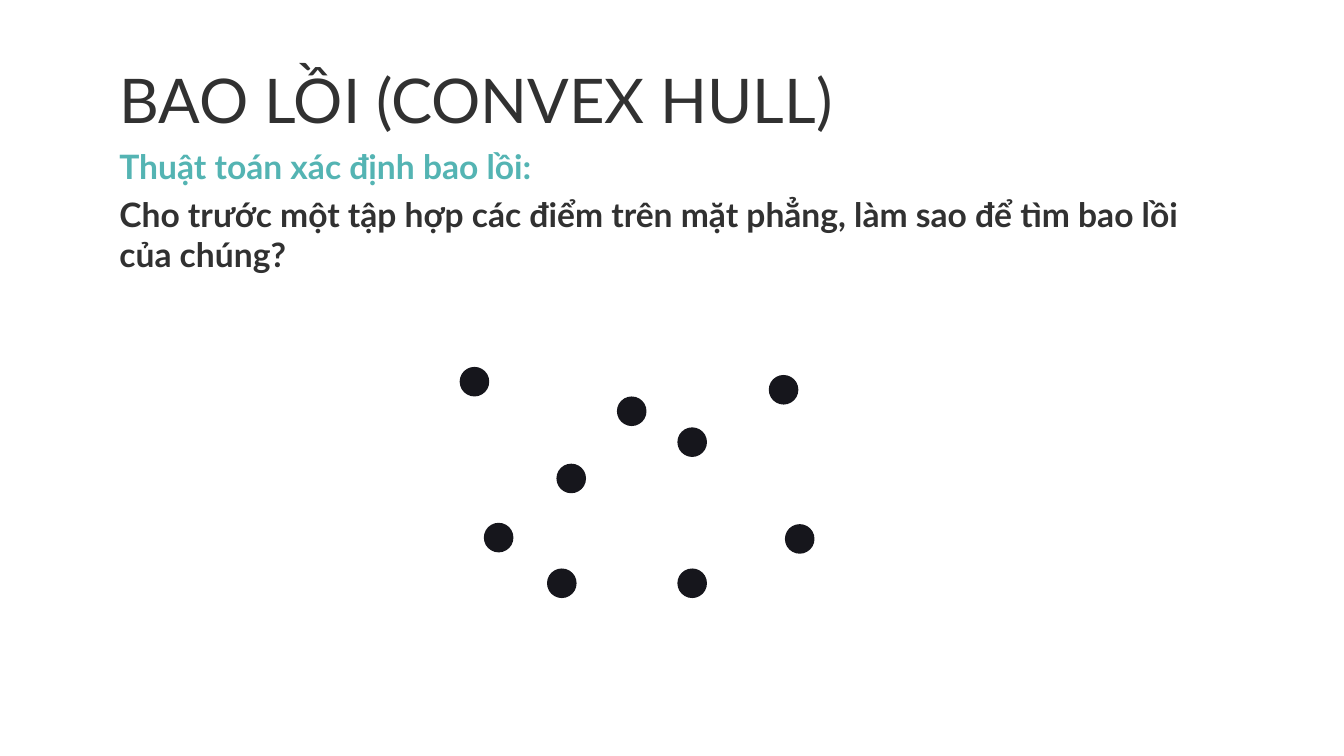
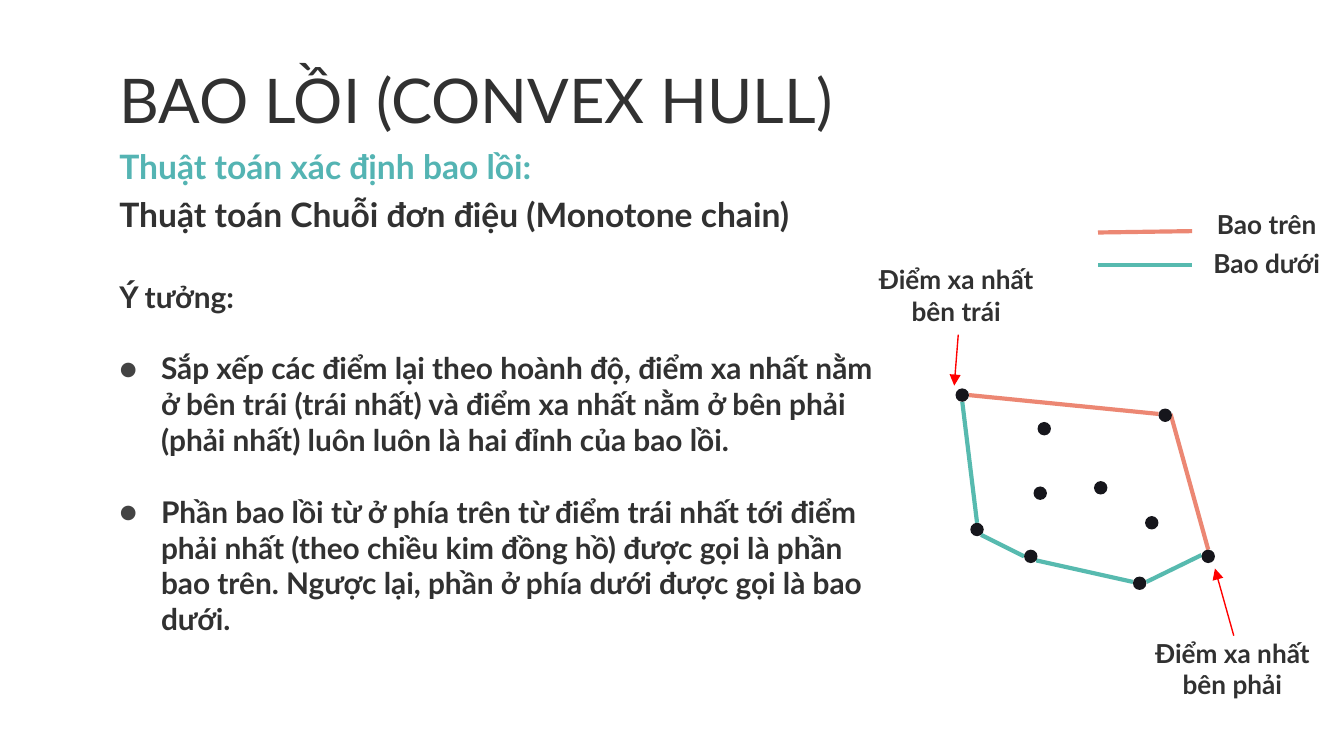
"""Build two slides on the convex hull and the monotone chain algorithm."""
import pptx
import pptx.dml.color
import pptx.enum.shapes
import pptx.enum.text
import pptx.oxml.ns
import pptx.util
from lxml import etree

Inches = pptx.util.Inches
Pt = pptx.util.Pt
RGBColor = pptx.dml.color.RGBColor
ALIGN = pptx.enum.text.PP_ALIGN

INK = RGBColor(0x31, 0x31, 0x31)
HEADING_TEAL = RGBColor(0x54, 0xB4, 0xB3)
POINT_BLACK = RGBColor(0x16, 0x16, 0x1C)
LOWER_TEAL = RGBColor(0x57, 0xBA, 0xAF)
UPPER_CORAL = RGBColor(0xEC, 0x87, 0x73)
POINTER_RED = RGBColor(0xFF, 0x00, 0x00)
BULLET_GREY = RGBColor(0x43, 0x43, 0x43)

FONT = "Lato"
TITLE = {"name": FONT, "size": Pt(33), "bold": False}
LEAD = {"name": FONT, "size": Pt(18), "bold": True}
BODY = {"name": FONT, "size": Pt(16), "bold": True}
LABEL = {"name": FONT, "size": Pt(14), "bold": True}
FRAME = {
    "word_wrap": True,
    "vertical_anchor": pptx.enum.text.MSO_ANCHOR.MIDDLE,
    "margin_left": Inches(0.1),
    "margin_right": Inches(0.1),
    "margin_top": Inches(0.1),
    "margin_bottom": Inches(0.1),
}

SLIDE_WIDTH = Inches(10)
SLIDE_HEIGHT = SLIDE_WIDTH * 9 // 16
LEFT = 0.79
FULL_WIDTH = 8.43
BULLET_INDENT = Inches(0.31)

QUESTION_POINTS = [
    (4.59, 2.95), (3.42, 2.73), (3.6, 3.89), (5.84, 3.9), (5.72, 2.79),
    (5.04, 3.18), (5.04, 4.23), (4.14, 3.45), (4.07, 4.23),
]
CHAIN_POINTS = [
    (7.72, 3.14), (7.11, 2.89), (7.22, 3.89), (8.94, 4.09), (8.62, 3.04),
    (8.14, 3.58), (8.43, 4.29), (7.69, 3.62), (7.62, 4.09), (8.52, 3.84),
]
LOWER_HULL = [
    (7.16, 2.99, 7.27, 3.89), (7.3, 3.98, 7.62, 4.14),
    (7.71, 4.17, 8.43, 4.33), (8.53, 4.33, 8.94, 4.13),
]
UPPER_HULL = [(7.21, 2.94, 8.62, 3.08), (8.71, 3.08, 8.99, 4.09)]
LOWER_KEY = (8.17, 1.97, 8.87, 1.97)
UPPER_KEY = (8.17, 1.73, 8.87, 1.72)
POINTERS = [(7.13, 2.49, 7.1, 2.87), (9.18, 4.73, 9.04, 4.23)]
LABELS = [
    ("Điểm xa nhất bên trái", 6.36, 2.02, 1.51),
    ("Điểm xa nhất bên phải", 8.47, 4.8, 1.4),
    ("Bao trên", 8.67, 1.49, 1.51),
    ("Bao dưới", 8.67, 1.78, 1.51),
]
IDEAS = [
    "Sắp xếp các điểm lại theo hoành độ, điểm xa nhất nằm ở bên trái (trái nhất) "
    "và điểm xa nhất nằm ở bên phải (phải nhất) luôn luôn là hai đỉnh của bao lồi.",
    "Phần bao lồi từ ở phía trên từ điểm trái nhất tới điểm phải nhất (theo chiều "
    "kim đồng hồ) được gọi là phần bao trên. Ngược lại, phần ở phía dưới được gọi "
    "là bao dưới.",
]


def apply_format(target, values):
    """Set each named attribute on the target."""
    for name, value in values.items():
        setattr(target, name, value)


def add_frame(slide, left, top, width, height):
    """Add an empty text box and return its text frame."""
    box = slide.shapes.add_textbox(*map(Inches, (left, top, width, height)))
    apply_format(box.text_frame, FRAME)
    return box.text_frame


def write(paragraph, text, style, color=INK, align=ALIGN.LEFT):
    """Fill a paragraph with one styled run."""
    paragraph.alignment = align
    run = paragraph.add_run()
    run.text = text
    apply_format(run.font, style)
    run.font.color.rgb = color


def add_text(slide, text, place, style, color=INK, align=ALIGN.LEFT):
    """Add a text box with a single paragraph."""
    write(add_frame(slide, *place).paragraphs[0], text, style, color, align)


def add_bullet(paragraph):
    """Give a paragraph a hanging grey dot."""
    properties = paragraph._p.get_or_add_pPr()
    properties.set("marL", str(BULLET_INDENT))
    properties.set("indent", str(-BULLET_INDENT))
    qn = pptx.oxml.ns.qn
    bullet_color = etree.SubElement(properties, qn("a:buClr"))
    etree.SubElement(bullet_color, qn("a:srgbClr"), val=str(BULLET_GREY))
    etree.SubElement(properties, qn("a:buFont"), typeface=FONT)
    etree.SubElement(properties, qn("a:buChar"), char="●")


def add_ideas(slide):
    """Add the idea heading with its bulleted explanation."""
    frame = add_frame(slide, LEFT, 2.19, 5.82, 2.43)
    write(frame.paragraphs[0], "Ý tưởng:", BODY)
    for idea in IDEAS:
        paragraph = frame.add_paragraph()
        add_bullet(paragraph)
        paragraph.space_before = Pt(19.2)
        write(paragraph, idea, BODY)


def add_points(slide, points, size):
    """Draw a set of points as dots of one size."""
    for left, top in points:
        dot = slide.shapes.add_shape(
            pptx.enum.shapes.MSO_SHAPE.OVAL, *map(Inches, (left, top, size, size)))
        dot.shadow.inherit = False
        dot.fill.solid()
        dot.fill.fore_color.rgb = POINT_BLACK
        dot.line.fill.background()


def add_lines(slide, segments, color, width=2.25, arrow=False):
    """Draw straight segments, with an arrowhead at the end if asked."""
    qn = pptx.oxml.ns.qn
    for segment in segments:
        line = slide.shapes.add_connector(
            pptx.enum.shapes.MSO_CONNECTOR.STRAIGHT, *map(Inches, segment))
        line.line.width = Pt(width)
        line.line.color.rgb = color
        if arrow:
            outline = line._element.spPr.find(qn("a:ln"))
            etree.SubElement(outline, qn("a:tailEnd"), type="triangle")
        etree.SubElement(line._element.spPr, qn("a:effectLst"))


def add_topic_slide(deck):
    """Add a blank slide with the shared title and subtitle."""
    slide = deck.slides.add_slide(deck.slide_layouts[6])
    add_text(slide, "BAO LỒI (CONVEX HULL)", (LEFT, 0.42, 6.94, 0.63), TITLE)
    add_text(slide, "Thuật toán xác định bao lồi:",
             (LEFT, 0.97, FULL_WIDTH, 0.53), LEAD, HEADING_TEAL)
    return slide


def build_question(deck):
    """Build the slide that poses the problem."""
    slide = add_topic_slide(deck)
    add_text(slide, "Cho trước một tập hợp các điểm trên mặt phẳng, "
             "làm sao để tìm bao lồi của chúng?", (LEFT, 1.32, FULL_WIDTH, 0.84), LEAD)
    add_points(slide, QUESTION_POINTS, 0.22)


def build_monotone_chain(deck):
    """Build the slide that explains the upper and lower hull."""
    slide = add_topic_slide(deck)
    add_text(slide, "Thuật toán Chuỗi đơn điệu (Monotone chain)",
             (LEFT, 1.38, FULL_WIDTH, 0.42), LEAD)
    add_ideas(slide)
    add_lines(slide, LOWER_HULL + [LOWER_KEY], LOWER_TEAL)
    add_lines(slide, UPPER_HULL + [UPPER_KEY], UPPER_CORAL)
    add_points(slide, CHAIN_POINTS, 0.1)
    add_lines(slide, POINTERS, POINTER_RED, 0.75, arrow=True)
    for text, left, top, width in LABELS:
        add_text(slide, text, (left, top, width, 0.35), LABEL, align=ALIGN.CENTER)


def main():
    """Create and save the deck."""
    deck = pptx.Presentation()
    apply_format(deck, {"slide_width": SLIDE_WIDTH, "slide_height": SLIDE_HEIGHT})
    build_question(deck)
    build_monotone_chain(deck)
    deck.save("out.pptx")


if __name__ == "__main__":
    main()
